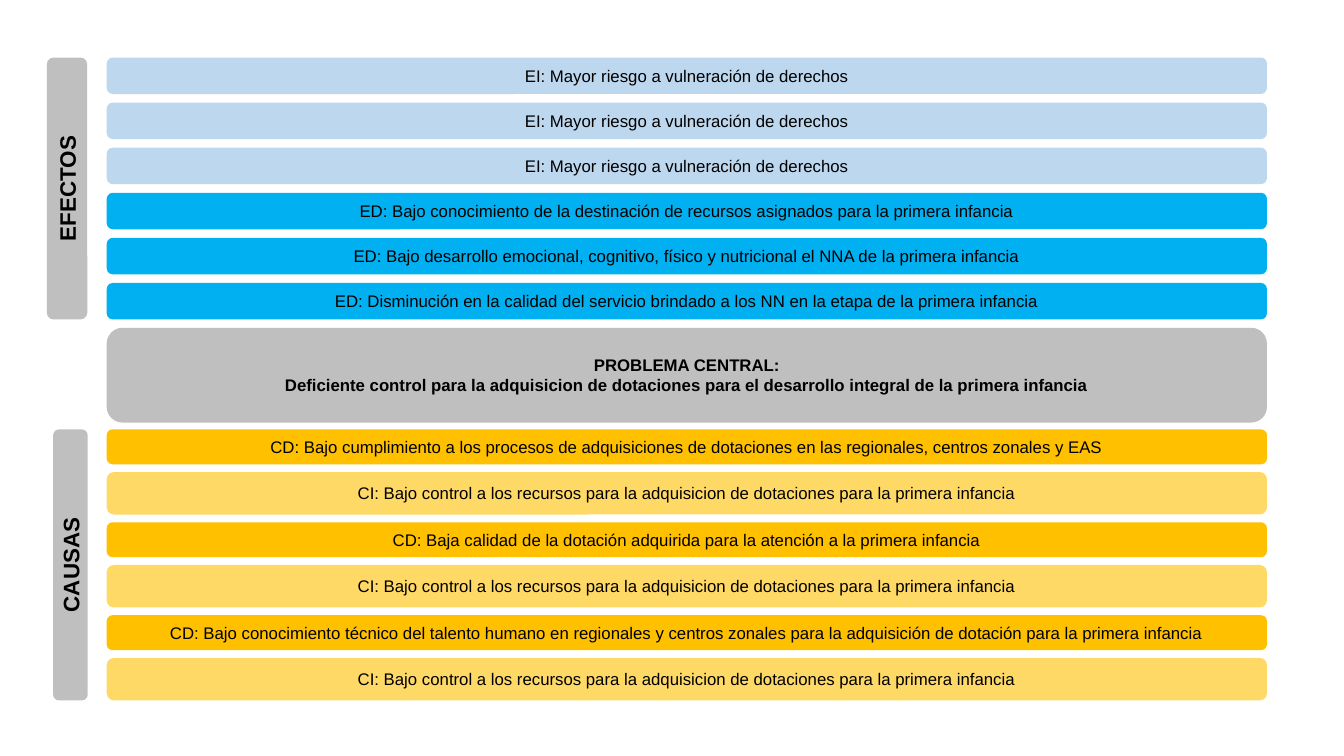
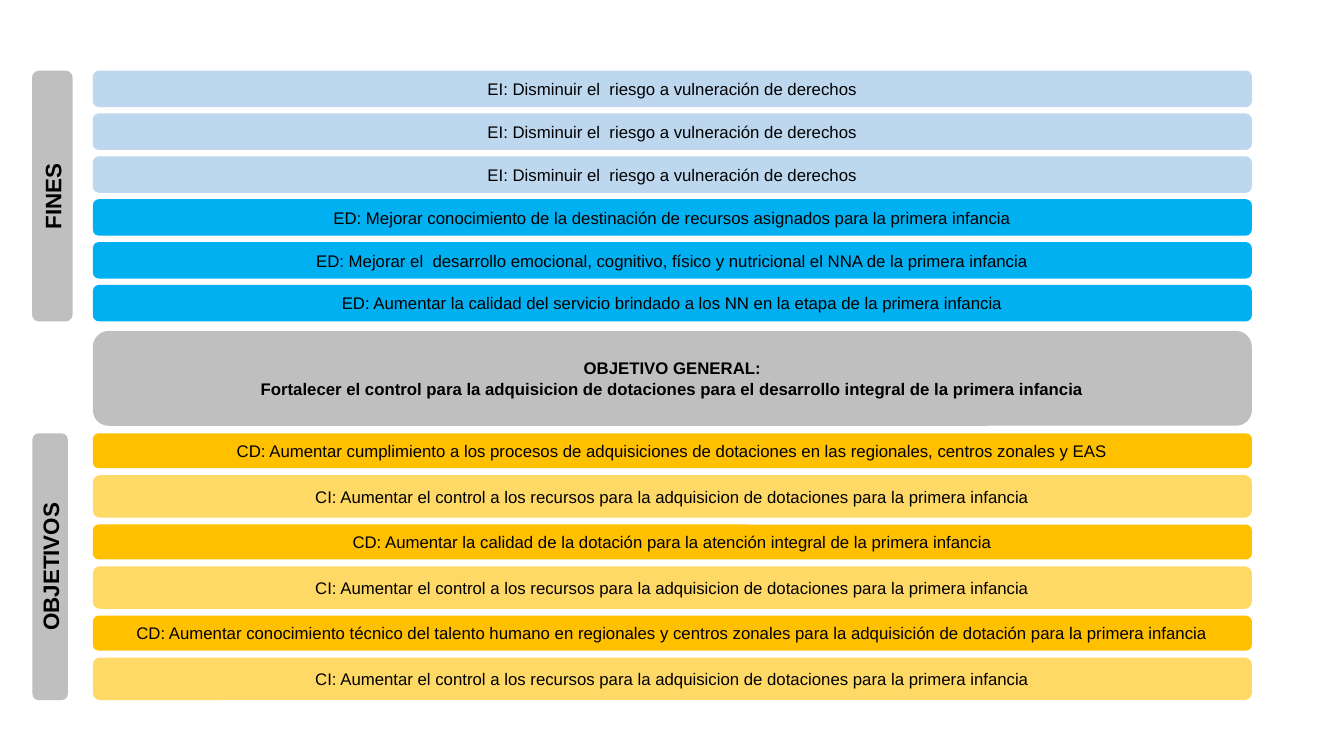
from collections import namedtuple

from pptx import Presentation
from pptx import util as u
from pptx.dml.color import RGBColor
from pptx.enum import shapes, text

COLORS = {
    "grey": "BFBFBF",
    "pale blue": "BDD7EE",
    "blue": "00B0F0",
    "amber": "FFC000",
    "pale amber": "FFD966",
    "text": "000000",
}
FONT = "Arial"

# All lengths are in centimetres
Box = namedtuple("Box", "left top width height")

# Colour and height of each kind of bar, known by the prefix of its text
BAR_STYLES = {
    "EI": ("pale blue", 0.92),
    "ED": ("blue", 0.92),
    "CD": ("amber", 0.88),
    "CI": ("pale amber", 1.07),
}

PROBLEM_TREE = {
    "bars": (2.69, 29.24),
    "upper": {
        "label": "EFECTOS", "tab": (1.18, 1.02), "span": (1.45, 6.6),
        "rows": [
            "EI: Mayor riesgo a vulneración de derechos",
            "EI: Mayor riesgo a vulneración de derechos",
            "EI: Mayor riesgo a vulneración de derechos",
            "ED: Bajo conocimiento de la destinación de recursos asignados para la primera infancia",
            "ED: Bajo desarrollo emocional, cognitivo, físico y nutricional el NNA de la primera infancia",
            "ED: Disminución en la calidad del servicio brindado a los NN en la etapa de la primera infancia",
        ],
    },
    "center": {
        "span": (8.26, 2.39),
        "lines": [
            "PROBLEMA CENTRAL:",
            "Deficiente control para la adquisicion de dotaciones para el desarrollo integral de la primera infancia",
        ],
    },
    "lower": {
        "label": "CAUSAS", "tab": (1.34, 0.87), "span": (10.82, 6.83),
        "rows": [
            "CD: Bajo cumplimiento a los procesos de adquisiciones de dotaciones en las regionales, centros zonales y EAS",
            "CI: Bajo control a los recursos para la adquisicion de dotaciones para la primera infancia",
            "CD: Baja calidad de la dotación adquirida para la atención a la primera infancia",
            "CI: Bajo control a los recursos para la adquisicion de dotaciones para la primera infancia",
            "CD: Bajo conocimiento técnico del talento humano en regionales y centros zonales para la adquisición de dotación para la primera infancia",
            "CI: Bajo control a los recursos para la adquisicion de dotaciones para la primera infancia",
        ],
    },
}

OBJECTIVE_TREE = {
    "bars": (2.34, 29.21),
    "upper": {
        "label": "FINES", "tab": (0.81, 1.02), "span": (1.78, 6.32),
        "rows": [
            "EI: Disminuir el  riesgo a vulneración de derechos",
            "EI: Disminuir el  riesgo a vulneración de derechos",
            "EI: Disminuir el  riesgo a vulneración de derechos",
            "ED: Mejorar conocimiento de la destinación de recursos asignados para la primera infancia",
            "ED: Mejorar el  desarrollo emocional, cognitivo, físico y nutricional el NNA de la primera infancia",
            "ED: Aumentar la calidad del servicio brindado a los NN en la etapa de la primera infancia",
        ],
    },
    "center": {
        "span": (8.34, 2.39),
        "lines": [
            "OBJETIVO GENERAL:",
            "Fortalecer el control para la adquisicion de dotaciones para el desarrollo integral de la primera infancia",
        ],
    },
    "lower": {
        "label": "OBJETIVOS", "tab": (0.82, 0.89), "span": (10.92, 6.72),
        "rows": [
            "CD: Aumentar cumplimiento a los procesos de adquisiciones de dotaciones en las regionales, centros zonales y EAS",
            "CI: Aumentar el control a los recursos para la adquisicion de dotaciones para la primera infancia",
            "CD: Aumentar la calidad de la dotación para la atención integral de la primera infancia",
            "CI: Aumentar el control a los recursos para la adquisicion de dotaciones para la primera infancia",
            "CD: Aumentar conocimiento técnico del talento humano en regionales y centros zonales para la adquisición de dotación para la primera infancia",
            "CI: Aumentar el control a los recursos para la adquisicion de dotaciones para la primera infancia",
        ],
    },
}


def add_panel(slide, box, color, lines, size=12, bold=False):
    """Rounded, borderless panel with centred text."""
    panel = slide.shapes.add_shape(
        shapes.MSO_SHAPE.ROUNDED_RECTANGLE, *(u.Cm(length) for length in box))
    panel.shadow.inherit = False
    panel.fill.solid()
    panel.fill.fore_color.rgb = RGBColor.from_string(COLORS[color])
    panel.line.fill.background()
    frame = panel.text_frame
    frame.word_wrap = True
    frame.vertical_anchor = text.MSO_ANCHOR.MIDDLE
    frame.text = "\n".join(lines)
    for para in frame.paragraphs:
        para.alignment = text.PP_ALIGN.CENTER
        for span in para.runs:
            span.font.name = FONT
            span.font.size = u.Pt(size)
            span.font.bold = bold
            span.font.color.rgb = RGBColor.from_string(COLORS["text"])
    return panel


def add_side_tab(slide, box, label):
    """Upright tab that reads upwards: a wide panel turned about its centre."""
    shift = (box.height - box.width) / 2
    flat = Box(box.left - shift, box.top + shift, box.height, box.width)
    tab = add_panel(slide, flat, "grey", [label], size=16, bold=True)
    tab.rotation = 270


def add_bar_stack(slide, box, rows):
    """Bars that fill the box from top to bottom with equal gaps."""
    styles = [BAR_STYLES[row[:2]] for row in rows]
    gap = (box.height - sum(height for _, height in styles)) / (len(rows) - 1)
    top = box.top
    for row, (color, height) in zip(rows, styles):
        add_panel(slide, Box(box.left, top, box.width, height), color, [row])
        top += height + gap


def add_group(slide, bars, group):
    """Side tab and the bars it names, over the same height."""
    left, width = bars
    tab_left, tab_width = group["tab"]
    top, height = group["span"]
    add_side_tab(slide, Box(tab_left, top, tab_width, height), group["label"])
    add_bar_stack(slide, Box(left, top, width, height), group["rows"])


def add_tree_slide(deck, tree):
    slide = deck.slides.add_slide(deck.slide_layouts[6])
    left, width = tree["bars"]

    # Effects or aims
    add_group(slide, tree["bars"], tree["upper"])

    # Central statement
    top, height = tree["center"]["span"]
    add_panel(slide, Box(left, top, width, height), "grey",
              tree["center"]["lines"], bold=True)

    # Causes or objectives
    add_group(slide, tree["bars"], tree["lower"])


def main():
    deck = Presentation()
    deck.slide_width = u.Cm(33.87)
    deck.slide_height = u.Cm(19.05)
    for tree in (PROBLEM_TREE, OBJECTIVE_TREE):
        add_tree_slide(deck, tree)
    deck.save("out.pptx")


if __name__ == "__main__":
    main()
